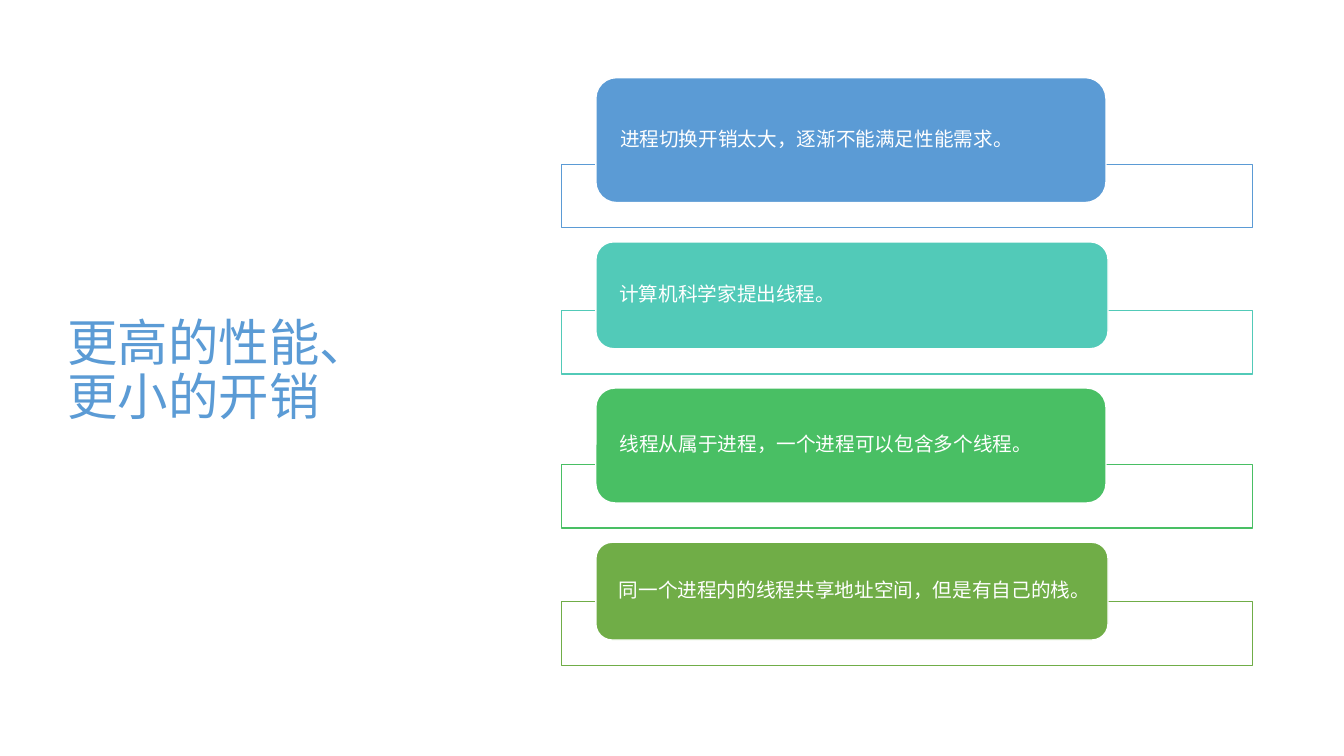
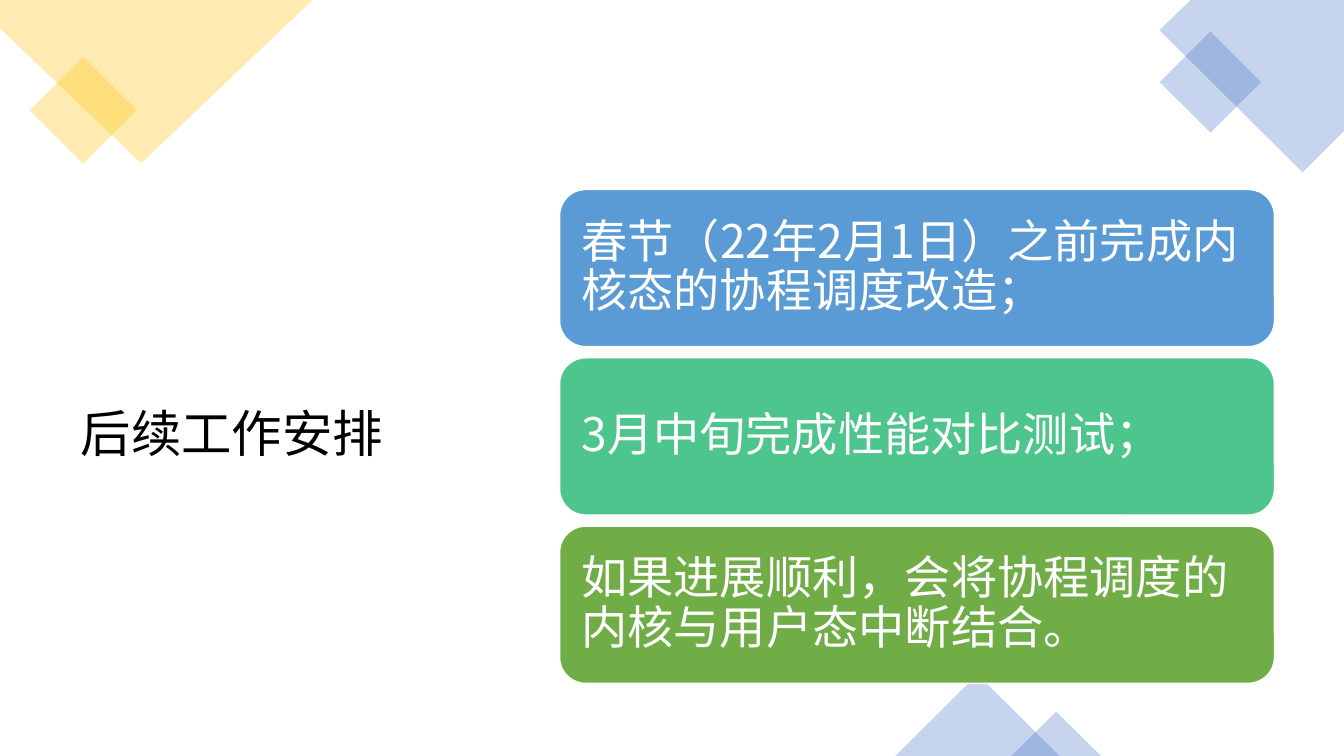
from lxml.etree import SubElement
from pptx import Presentation
from pptx.dml.color import RGBColor
from pptx.enum.shapes import MSO_SHAPE
from pptx.enum.text import MSO_ANCHOR, MSO_AUTO_SIZE, PP_ALIGN
from pptx.oxml.ns import qn
from pptx.util import Pt

PX = 9144  # 100 px to the inch
FONT = "Noto Sans CJK SC"
BLUE, GREEN, WHITE, BLACK = "5B9BD5", "70AD47", "FFFFFF", "000000"
GOLD, NAVY = "FFC000", "4472C4"


def px(*nums):
    return [n * PX for n in nums]


def paint(fmt, color, alpha=100):
    """Set a solid colour on a fill, with its opacity in percent."""
    fmt.solid()
    fmt.fore_color.rgb = RGBColor.from_string(color)
    if alpha < 100:
        tint = fmt._xPr.find(qn("a:solidFill"))[0]
        SubElement(tint, qn("a:alpha")).set("val", str(alpha * 1000))


class Deck:
    """Holds the shared style and the current slide."""

    def __init__(self):
        self.prs = Presentation()
        self.prs.slide_width, self.prs.slide_height = px(1333, 750)
        self.slide = None

    def page(self, title, box, color):
        """Start a slide with its title."""
        self.slide = self.prs.slides.add_slide(self.prs.slide_layouts[5])
        head = self.slide.shapes.title
        head.left, head.top, head.width, head.height = px(*box)
        self.label(head, title, 36, color, 10, 5)

    def label(self, shape, text, size, color, side, edge):
        """Put left-aligned text in a shape, with side and edge insets."""
        frame = shape.text_frame
        frame.text = text
        frame.word_wrap = True
        frame.auto_size = MSO_AUTO_SIZE.NONE
        frame.vertical_anchor = MSO_ANCHOR.MIDDLE
        frame.margin_left, frame.margin_right = px(side, side)
        frame.margin_top, frame.margin_bottom = px(edge, edge)
        para = frame.paragraphs[0]
        para.alignment = PP_ALIGN.LEFT
        para.line_spacing = 0.9
        font = para.font
        font.size = Pt(size)
        paint(font.fill, color)
        font.name = FONT
        props = para._p.pPr.find(qn("a:defRPr"))
        SubElement(props, qn("a:ea")).set("typeface", FONT)

    def finish(self, shape, fill, alpha=100, line=None):
        shape.shadow.inherit = False
        paint(shape.fill, fill, alpha)
        if line:
            paint(shape.line.fill, line)
            shape.line.width = Pt(1)
        else:
            shape.line.fill.background()
        return shape

    def shape(self, kind, box, fill, alpha=100, line=None, turn=0):
        item = self.slide.shapes.add_shape(kind, *px(*box))
        item.rotation = turn
        return self.finish(item, fill, alpha, line)

    def card(self, box, fill, text, size, side, edge):
        item = self.shape(MSO_SHAPE.ROUNDED_RECTANGLE, box, fill, line=WHITE)
        self.label(item, text, size, WHITE, side, edge)

    def facet(self, points, fill):
        """Draw a translucent polygon."""
        pen = self.slide.shapes.build_freeform(*points[0], scale=PX)
        pen.add_line_segments(points[1:], close=True)
        self.finish(pen.convert_to_shape(), fill, 30)

    def square(self, left, top, side, fill):
        """Draw a translucent square standing on its corner."""
        self.shape(MSO_SHAPE.RECTANGLE, (left, top, side, side), fill, 30, turn=45)

    def peak(self, left, top, width, fill):
        """Draw a translucent triangle down to the slide's bottom edge."""
        box = left, top, width, 750 - top
        self.shape(MSO_SHAPE.ISOSCELES_TRIANGLE, box, fill, 30)


def threads(deck):
    deck.page("更高的性能、\v更小的开销", (57, 68, 416, 602), BLUE)
    rows = [
        (BLUE, 506, 124, "进程切换开销太大，逐渐不能满足性能需求。"),
        ("52CAB8", 508, 106, "计算机科学家提出线程。"),
        ("49BF64", 506, 114, "线程从属于进程，一个进程可以包含多个线程。"),
        (GREEN, 508, 97, "同一个进程内的线程共享地址空间，但是有自己的栈。"),
    ]
    top, lap, band, gap = 77, 38, 63, 14
    for color, width, height, text in rows:
        base = top + height - lap
        deck.shape(MSO_SHAPE.RECTANGLE, (557, base, 685, band), WHITE, 90, color)
        deck.card((591, top, width, height), color, text, 14, 18, 0)
        top = base + band + gap


def plan(deck):
    deck.page("后续工作安排", (70, 186, 433, 494), BLACK)
    deck.square(45, 72, 75, GOLD)
    deck.facet([(0, 0), (310, 0), (140, 162), (0, 28)], GOLD)
    deck.facet([(1181, 0), (1333, 0), (1333, 130), (1292, 171), (1150, 30)], NAVY)
    deck.square(1165, 46, 71, NAVY)
    deck.peak(888, 669, 163, NAVY)
    deck.peak(1003, 706, 89, NAVY)
    steps = [
        (BLUE, "春节（22年2月1日）之前完成内核态的协程调度改造；"),
        ("4DC58D", "3月中旬完成性能对比测试；"),
        (GREEN, "如果进展顺利，会将协程调度的内核与用户态中断结合。"),
    ]
    for row, (color, text) in enumerate(steps):
        deck.card((555, 188 + 167 * row, 709, 156), color, text, 33, 14, 14)


def main():
    deck = Deck()
    threads(deck)
    plan(deck)
    deck.prs.save("out.pptx")


if __name__ == "__main__":
    main()
